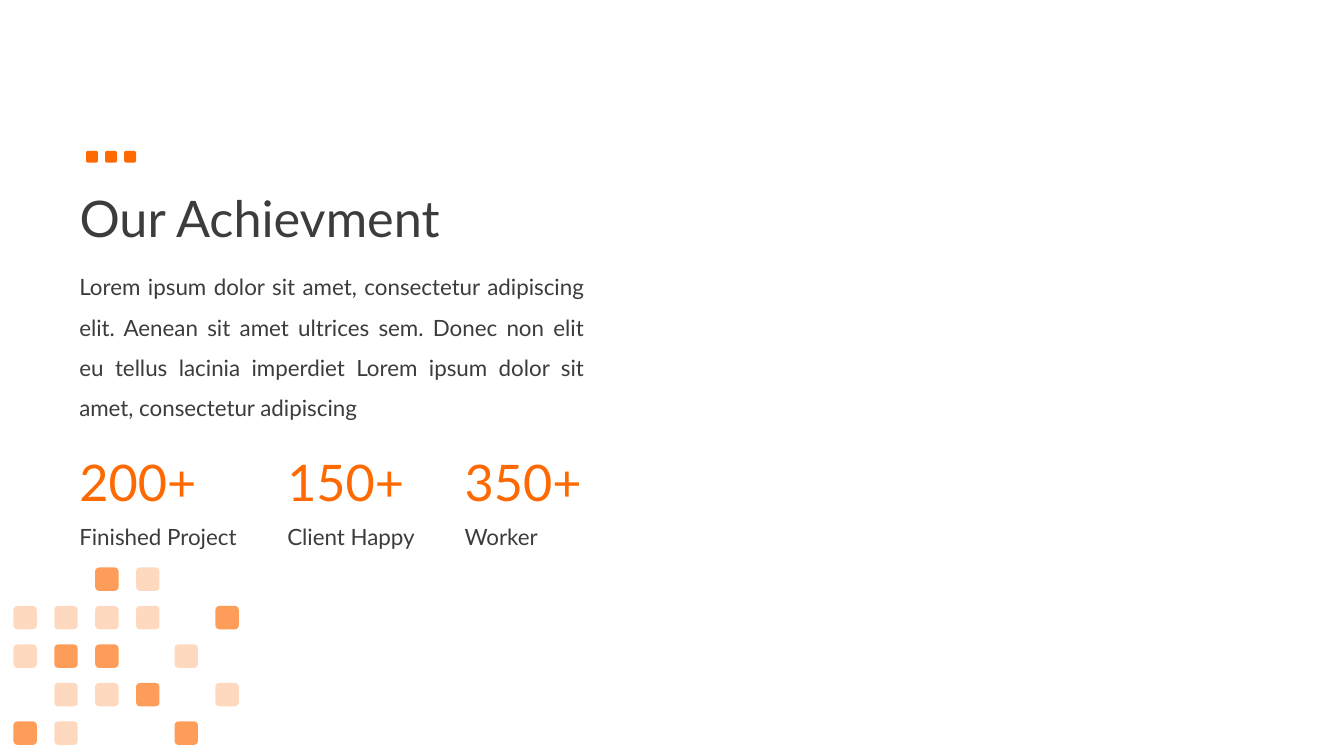
from dataclasses import dataclass

from lxml.etree import SubElement
from pptx import Presentation
from pptx.dml.color import RGBColor
from pptx.enum.shapes import MSO_SHAPE
from pptx.enum.text import MSO_ANCHOR, MSO_AUTO_SIZE, PP_ALIGN
from pptx.oxml.ns import qn
from pptx.util import Cm, Pt


@dataclass(frozen=True)
class Theme:
    font: str = "Lato"
    ink: str = "3C3C3C"
    accent: str = "FE6902"
    large: int = 36
    small: int = 16


class Page:
    def __init__(self, deck, theme):
        self.theme = theme
        self.slide = deck.slides.add_slide(deck.slide_layouts[5])

    def fill_text(self, frame, text, size, color, align, spacing):
        frame.word_wrap = True
        frame.text = text
        para = frame.paragraphs[0]
        para.alignment = align
        para.line_spacing = spacing
        para.font.name = self.theme.font
        para.font.size = Pt(size)
        para.font.color.rgb = RGBColor.from_string(color)

    def title(self, text, left, top, width, height):
        shape = self.slide.shapes.title
        shape.left, shape.top = Cm(left), Cm(top)
        shape.width, shape.height = Cm(width), Cm(height)
        frame = shape.text_frame
        self.fill_text(frame, text, self.theme.large, self.theme.ink,
                       PP_ALIGN.LEFT, 0.9)
        frame.vertical_anchor = MSO_ANCHOR.MIDDLE
        frame.auto_size = MSO_AUTO_SIZE.NONE

    def text(self, text, left, top, width, height, size, color,
             align=PP_ALIGN.LEFT, spacing=1.0):
        box = self.slide.shapes.add_textbox(Cm(left), Cm(top), Cm(width), Cm(height))
        self.fill_text(box.text_frame, text, size, color, align, spacing)
        box.text_frame.auto_size = MSO_AUTO_SIZE.SHAPE_TO_FIT_TEXT

    def group(self):
        return self.slide.shapes.add_group_shape()

    def tile(self, group, left, top, side, alpha=100):
        """Add a rounded square; alpha is its opacity in percent."""
        shape = group.shapes.add_shape(
            MSO_SHAPE.ROUNDED_RECTANGLE, Cm(left), Cm(top), Cm(side), Cm(side))
        shape.shadow.inherit = False
        shape.line.fill.background()
        shape.fill.solid()
        shape.fill.fore_color.rgb = RGBColor.from_string(self.theme.accent)
        if alpha < 100:
            color = shape.element.spPr.find(".//" + qn("a:srgbClr"))
            SubElement(color, qn("a:alpha")).set("val", str(alpha * 1000))


BODY = ("Lorem ipsum dolor sit amet, consectetur adipiscing elit. Aenean sit amet "
        "ultrices sem. Donec non elit eu tellus lacinia imperdiet Lorem ipsum dolor "
        "sit amet, consectetur adipiscing")
STATS = [
    (1.75, "200+", "Finished Project"),
    (6.99, "150+", "Client Happy"),
    (11.46, "350+", "Worker"),
]
# Mosaic rows: "#" is a strong tile, "o" a pale one, "." a gap
MOSAIC = ["..#o..", "oooo.#", "o##.o.", ".oo#.o", "#o..#."]
COLUMNS = [0.34, 1.37, 2.4, 3.43, 4.4, 5.43]
ALPHA = {"#": 65, "o": 25}


def main():
    deck = Presentation()
    deck.slide_width, deck.slide_height = Cm(33.87), Cm(19.05)
    theme = Theme()
    page = Page(deck, theme)

    page.title("Our Achievment", 1.75, 3.73, 29.21, 3.68)
    for left, value, label in STATS:
        page.text(value, left, 11.25, 4.04, 1.8, theme.large, theme.accent)
        page.text(label, left, 13.06, 5.97, 0.94, theme.small, theme.ink)
    page.text(BODY, 1.75, 6.43, 13.23, 4.22, theme.small, theme.ink,
              PP_ALIGN.JUSTIFY, 1.5)

    mosaic = page.group()
    for row, line in enumerate(MOSAIC):
        for left, mark in zip(COLUMNS, line):
            if mark in ALPHA:
                page.tile(mosaic, left, 14.3 + row * 0.97, 0.59, ALPHA[mark])

    dots = page.group()
    for i in range(3):
        page.tile(dots, 2.17 + i * 0.48, 3.8, 0.3)

    deck.save("out.pptx")


if __name__ == "__main__":
    main()
